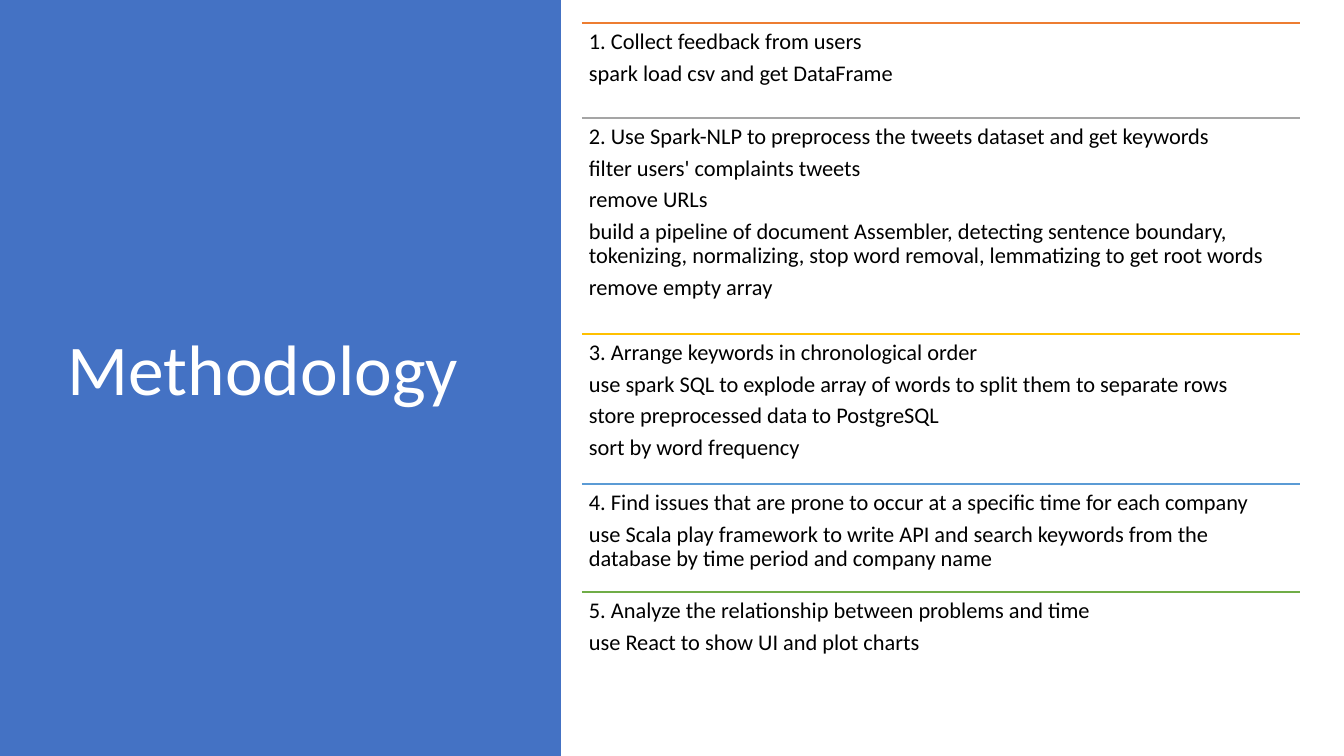
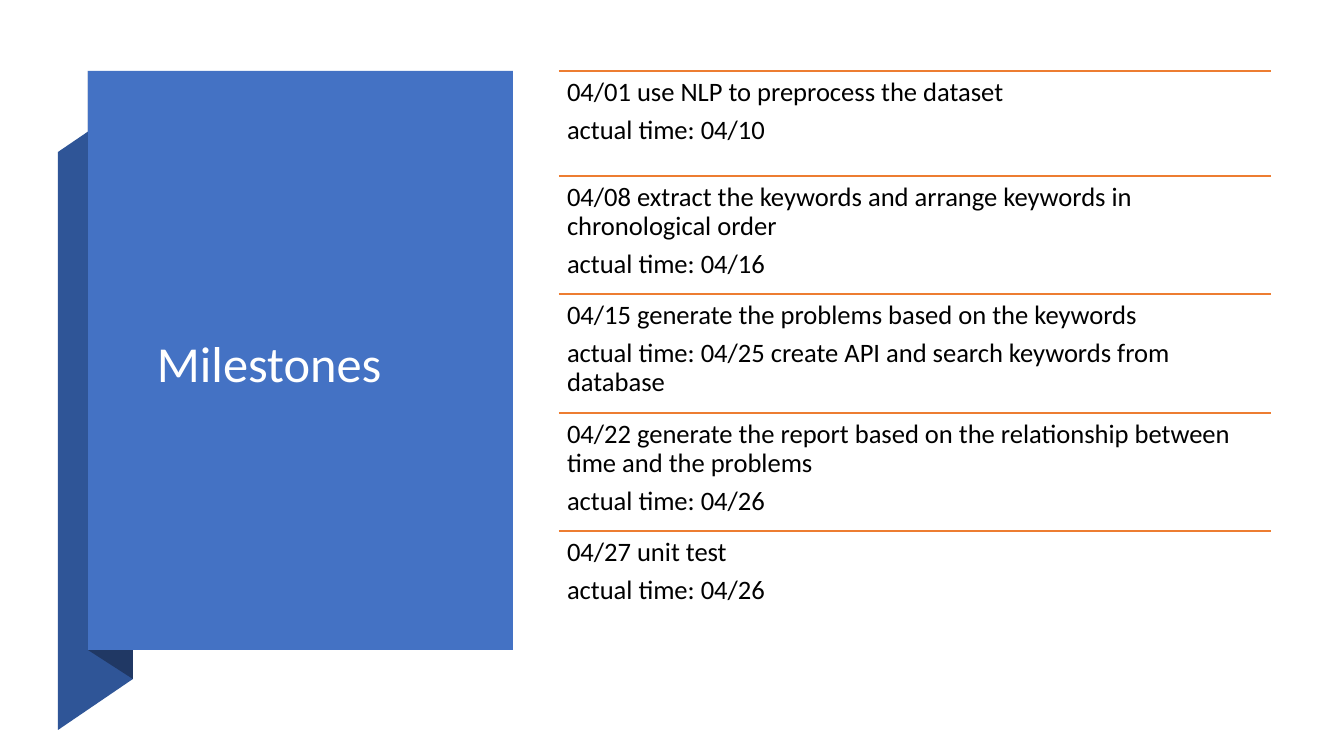
import pptx
import pptx.util
import pptx.dml.color
import pptx.enum.shapes
import pptx.enum.text
import pptx.oxml.ns
import lxml.etree

RGB = pptx.dml.color.RGBColor
WHITE = RGB(0xFF, 0xFF, 0xFF)
BLACK = RGB(0x00, 0x00, 0x00)
BLUE = RGB(0x44, 0x72, 0xC4)
DARK_BLUE = RGB(0x2F, 0x55, 0x97)
NAVY = RGB(0x20, 0x38, 0x64)
ORANGE = RGB(0xED, 0x7D, 0x31)
GRAY = RGB(0xA5, 0xA5, 0xA5)
GOLD = RGB(0xFF, 0xC0, 0x00)
SKY = RGB(0x5B, 0x9B, 0xD5)
GREEN = RGB(0x70, 0xAD, 0x47)
FONT = "Calibri"
SCALE = 914400 / 100.8

STEPS = [
    (23, ORANGE, ["1. Collect feedback from users",
                  "spark load csv and get DataFrame"]),
    (118, GRAY, ["2. Use Spark-NLP to preprocess the tweets dataset and get keywords",
                 "filter users' complaints tweets",
                 "remove URLs",
                 "build a pipeline of document Assembler, detecting sentence boundary, "
                 "tokenizing, normalizing, stop word removal, lemmatizing to get root words",
                 "remove empty array"]),
    (334, GOLD, ["3. Arrange keywords in chronological order",
                 "use spark SQL to explode array of words to split them to separate rows",
                 "store preprocessed data to PostgreSQL",
                 "sort by word frequency"]),
    (484, SKY, ["4. Find issues that are prone to occur at a specific time for each company",
                "use Scala play framework to write API and search keywords from the "
                "database by time period and company name"]),
    (592, GREEN, ["5. Analyze the relationship between problems and time",
                  "use React to show UI and plot charts"]),
]

MILESTONES = [
    (71, ORANGE, ["04/01 use NLP to preprocess the dataset",
                  "actual time: 04/10"]),
    (176, ORANGE, ["04/08 extract the keywords and\u00a0arrange keywords in chronological\u00a0order",
                   "actual time: 04/16"]),
    (294, ORANGE, ["04/15 generate the problems based on the keywords",
                   "actual time: 04/25 create API and search keywords from database"]),
    (413, ORANGE, ["04/22\u00a0generate the report based on the relationship between "
                   "time\u00a0and the problems",
                   "actual time: 04/26"]),
    (531, ORANGE, ["04/27\u00a0unit test",
                   "actual time: 04/26"]),
]


def px(n):
    """Turn pixels into EMU."""
    return pptx.util.Emu(round(n * SCALE))


def paint(sp, color):
    """Give a shape a flat fill with no outline or shadow."""
    sp.shadow.inherit = False
    sp.fill.solid()
    sp.fill.fore_color.rgb = color
    sp.line.fill.background()


def add_panel(slide, x, y, w, h):
    """Draw the blue title panel."""
    sp = slide.shapes.add_shape(pptx.enum.shapes.MSO_SHAPE.RECTANGLE, px(x), px(y), px(w), px(h))
    paint(sp, BLUE)


def add_fold(slide, points, color):
    """Draw one closed face of the ribbon."""
    fb = slide.shapes.build_freeform(*points[0], scale=SCALE)
    fb.add_line_segments(points[1:], close=True)
    paint(fb.convert_to_shape(), color)


def add_ribbon(slide, x, y, w, h):
    """Draw the title panel with a ribbon folded behind its left side."""
    left, right = x - 30, x + 45
    bottom = y + h
    add_fold(slide, [(left, bottom + 80), (right, bottom + 29), (right, y + 30), (left, y + 81)], DARK_BLUE)
    add_fold(slide, [(x, bottom), (right, bottom + 29), (right, y + 29), (x, y)], NAVY)
    add_panel(slide, x, y, w, h)


def add_text(slide, box, lines, size, color, after=0):
    """Add a wrapping text box with one paragraph per line and return its frame."""
    tf = slide.shapes.add_textbox(*map(px, box)).text_frame
    tf.word_wrap = True
    for i, line in enumerate(lines):
        p = tf.paragraphs[0] if i == 0 else tf.add_paragraph()
        p.line_spacing = 0.9
        p.space_after = pptx.util.Pt(after)
        r = p.add_run()
        r.text = line
        r.font.name = FONT
        r.font.size = pptx.util.Pt(size)
        r.font.color.rgb = color
    return tf


def add_title(slide, box, text, size):
    """Add a white title centred vertically in its box."""
    tf = add_text(slide, box, [text], size, WHITE)
    tf.vertical_anchor = pptx.enum.text.MSO_ANCHOR.MIDDLE


def add_rule(slide, x, y, w, color):
    """Draw a thin horizontal rule."""
    ln = slide.shapes.add_connector(pptx.enum.shapes.MSO_CONNECTOR.STRAIGHT, px(x), px(y), px(x + w), px(y))
    ln.line.color.rgb = color
    ln.line.width = pptx.util.Pt(1)
    lxml.etree.SubElement(ln._element.spPr, pptx.oxml.ns.qn("a:effectLst"))


def add_sections(slide, x, w, bottom, sections, size, inset):
    """Stack ruled sections, each reaching down to the next one."""
    ends = [top for top, _, _ in sections[1:]] + [bottom]
    for (top, color, lines), end in zip(sections, ends):
        add_rule(slide, x, top, w, color)
        tf = add_text(slide, (x, top, w, end - top), lines, size, BLACK, round(size * 0.34, 1))
        tf.margin_left = tf.margin_right = tf.margin_top = tf.margin_bottom = px(inset)


def methodology(slide):
    """Build the methodology slide."""
    add_panel(slide, 0, 0, 561, 756)
    add_title(slide, (58, 69, 419, 607), "Methodology", 51)
    add_sections(slide, 582, 718, 730, STEPS, 16, 7)


def milestones(slide):
    """Build the milestones slide."""
    add_ribbon(slide, 88, 71, 425, 579)
    add_title(slide, (147, 168, 303, 397), "Milestones", 36)
    add_sections(slide, 559, 712, 649, MILESTONES, 19, 8)


prs = pptx.Presentation()
prs.slide_width, prs.slide_height = px(1344), px(756)
for build in (methodology, milestones):
    build(prs.slides.add_slide(prs.slide_layouts[6]))
prs.save("out.pptx")
